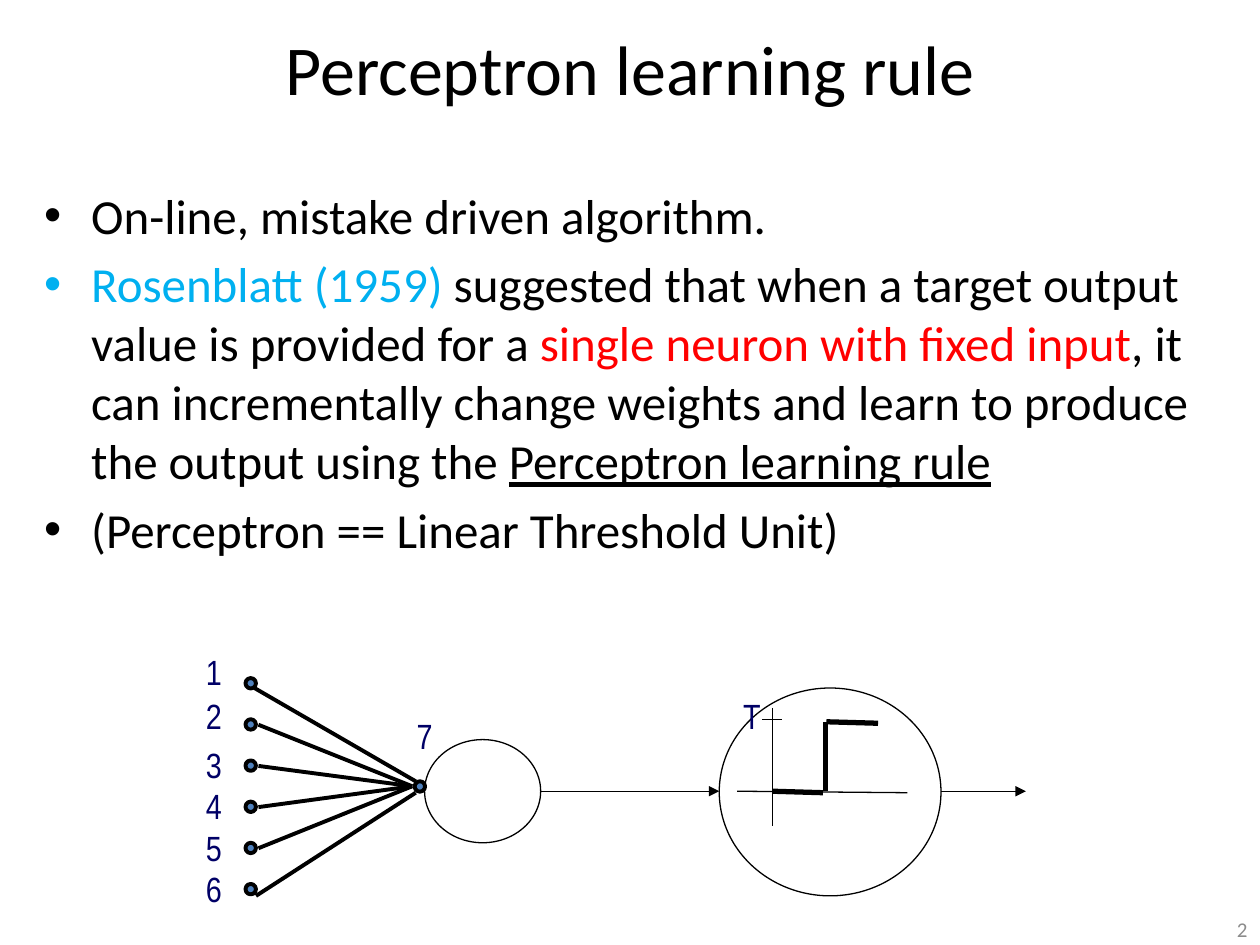
"""Build the slide on the Perceptron learning rule with its threshold unit sketch."""
from typing import NamedTuple

from lxml import etree
from pptx import Presentation
from pptx.dml.color import RGBColor
from pptx.enum.shapes import MSO_CONNECTOR, MSO_SHAPE
from pptx.enum.text import MSO_ANCHOR, MSO_AUTO_SIZE, PP_ALIGN
from pptx.oxml.ns import qn
from pptx.util import Cm, Pt

OVAL = MSO_SHAPE.OVAL
STRAIGHT = MSO_CONNECTOR.STRAIGHT
MIDDLE = MSO_ANCHOR.MIDDLE
TOP = MSO_ANCHOR.TOP
GROW = MSO_AUTO_SIZE.SHAPE_TO_FIT_TEXT
FIXED = MSO_AUTO_SIZE.NONE
LEFT, CENTER, RIGHT = PP_ALIGN.LEFT, PP_ALIGN.CENTER, PP_ALIGN.RIGHT

COLORS = {
    "black": "000000", "sky": "00B0F0", "red": "FF0000",
    "gray": "8C8C8C", "navy": "000066", "blue": "4F81BD",
}
BODY_FONT = {"name": "Calibri", "size": Pt(28)}
TITLE_FONT = {"name": "Calibri", "size": Pt(40)}
PAGE_FONT = {"name": "Calibri", "size": Pt(12)}
LABEL_FONT = {"name": "Arial Narrow", "size": Pt(20)}


class Span(NamedTuple):
    text: str
    color: str = "black"
    line: bool = False


class Label(NamedTuple):
    text: str
    x: float
    y: float


class Ring(NamedTuple):
    x: float
    y: float
    w: float
    h: float
    fill: str = ""
    width: float = 0.75


class Edge(NamedTuple):
    x1: float
    y1: float
    x2: float
    y2: float
    width: float = 0.75
    arrow: bool = False


POINTS = [
    [Span("On-line, mistake driven algorithm.")],
    [
        Span("Rosenblatt (1959) ", "sky"),
        Span("suggested that when a target output value is provided for a "),
        Span("single neuron with fixed input", "red"),
        Span(", it can incrementally change weights and learn to produce "
             "the output using the "),
        Span("Perceptron learning rule", line=True),
    ],
    [Span("(Perceptron == Linear Threshold Unit)")],
]
DOT, STEP, MID = 0.21, 0.83, 15.95
RINGS = [Ring(8.36, 15.75, DOT, DOT, "blue", 2.25)]
RINGS += [Ring(4.95, 13.67 + STEP * i, DOT, DOT, "blue", 2.25) for i in range(6)]
RINGS += [Ring(8.56, 14.91, 2.34, 2.08), Ring(14.5, 13.87, 4.47, 4.19)]
EDGES = [
    Edge(5.13, 13.87, 8.38, 15.75, 2.25),
    *(Edge(5.21, 14.61 + STEP * i, 8.31, 15.85, 2.25) for i in range(4)),
    Edge(5.16, 18.06, 8.38, 15.98, 2.25),
    Edge(10.9, MID, 14.5, MID, arrow=True),
    Edge(14.86, MID, 18.29, 15.98),
    Edge(15.57, 14.27, 15.57, 16.66),
    Edge(15.57, MID, 16.59, 15.98, 3),
    Edge(16.66, 14.55, 17.7, 14.58, 3),
    Edge(16.64, MID, 16.64, 14.55, 3),
    Edge(15.37, 14.5, 15.77, 14.5),
    Edge(18.97, MID, 20.68, MID, arrow=True),
]
TOPS = [12.98, 13.87, 14.86, 15.7, 16.54, 17.37]
LABELS = [Label(str(i), 3.9, y) for i, y in enumerate(TOPS, 1)]
LABELS += [Label("7", 8.15, 14.27), Label("T", 14.73, 13.87)]


def tint(name: str) -> RGBColor:
    return RGBColor.from_string(COLORS[name])


def apply(target, values: dict) -> None:
    for key, value in values.items():
        setattr(target, key, value)


def place(shape, x: float, y: float, w: float, h: float) -> None:
    apply(shape, {"left": Cm(x), "top": Cm(y), "width": Cm(w), "height": Cm(h)})


def write(para, spans: list[Span], font: dict) -> None:
    for span in spans:
        run = para.add_run()
        run.text = span.text
        apply(run.font, font | {"underline": span.line})
        run.font.color.rgb = tint(span.color)


def add_text(slide, area: tuple, spans: list[Span], font: dict,
             frame: dict, align=LEFT) -> None:
    box = slide.shapes.add_textbox(*map(Cm, area))
    apply(box.text_frame, frame)
    para = box.text_frame.paragraphs[0]
    para.alignment = align
    write(para, spans, font)


def add_title(slide, text: str) -> None:
    title = slide.shapes.title
    place(title, 0, 0, 25.4, 2.74)
    apply(title.text_frame, {"vertical_anchor": MIDDLE, "word_wrap": True,
                             "auto_size": FIXED})
    para = title.text_frame.paragraphs[0]
    para.alignment = CENTER
    write(para, [Span(text)], TITLE_FONT)


def add_points(slide) -> None:
    box = slide.shapes.add_textbox(Cm(0.64), Cm(3.61), Cm(24.13), Cm(14.6))
    frame = box.text_frame
    frame.word_wrap = True
    for i, spans in enumerate(POINTS):
        para = frame.add_paragraph() if i else frame.paragraphs[0]
        para.space_before = Pt(5.6 if i else 0)
        props = para._p.get_or_add_pPr()
        props.set("marL", str(Cm(0.95)))
        props.set("indent", str(-Cm(0.95)))
        etree.SubElement(props, qn("a:buFont")).set("typeface", "Arial")
        etree.SubElement(props, qn("a:buChar")).set("char", "•")
        write(para, spans, BODY_FONT)


def add_ring(slide, ring: Ring) -> None:
    shape = slide.shapes.add_shape(OVAL, *map(Cm, ring[:4]))
    shape.shadow.inherit = False
    if ring.fill:
        shape.fill.solid()
        shape.fill.fore_color.rgb = tint(ring.fill)
    else:
        shape.fill.background()
    shape.line.color.rgb = tint("black")
    shape.line.width = Pt(ring.width)


def add_edge(slide, edge: Edge) -> None:
    link = slide.shapes.add_connector(STRAIGHT, *map(Cm, edge[:4]))
    link.line.color.rgb = tint("black")
    link.line.width = Pt(edge.width)
    if edge.arrow:
        tail = etree.SubElement(link.line._get_or_add_ln(), qn("a:tailEnd"))
        tail.set("type", "triangle")
    etree.SubElement(link._element.spPr, qn("a:effectLst"))


def main() -> None:
    deck = Presentation()
    apply(deck, {"slide_width": Cm(25.4), "slide_height": Cm(19.05)})
    slide = deck.slides.add_slide(deck.slide_layouts[5])
    add_title(slide, "Perceptron learning rule")
    add_points(slide)
    add_text(slide, (19.48, 18.42, 5.92, 0.64), [Span("2", "gray")], PAGE_FONT,
             {"word_wrap": True, "vertical_anchor": MIDDLE}, RIGHT)
    for ring in RINGS:
        add_ring(slide, ring)
    for edge in EDGES:
        add_edge(slide, edge)
    for label in LABELS:
        add_text(slide, (label.x, label.y, 0.84, 1.24),
                 [Span(label.text, "navy")], LABEL_FONT,
                 {"word_wrap": False, "auto_size": GROW, "vertical_anchor": TOP})
    deck.save("out.pptx")


if __name__ == "__main__":
    main()
